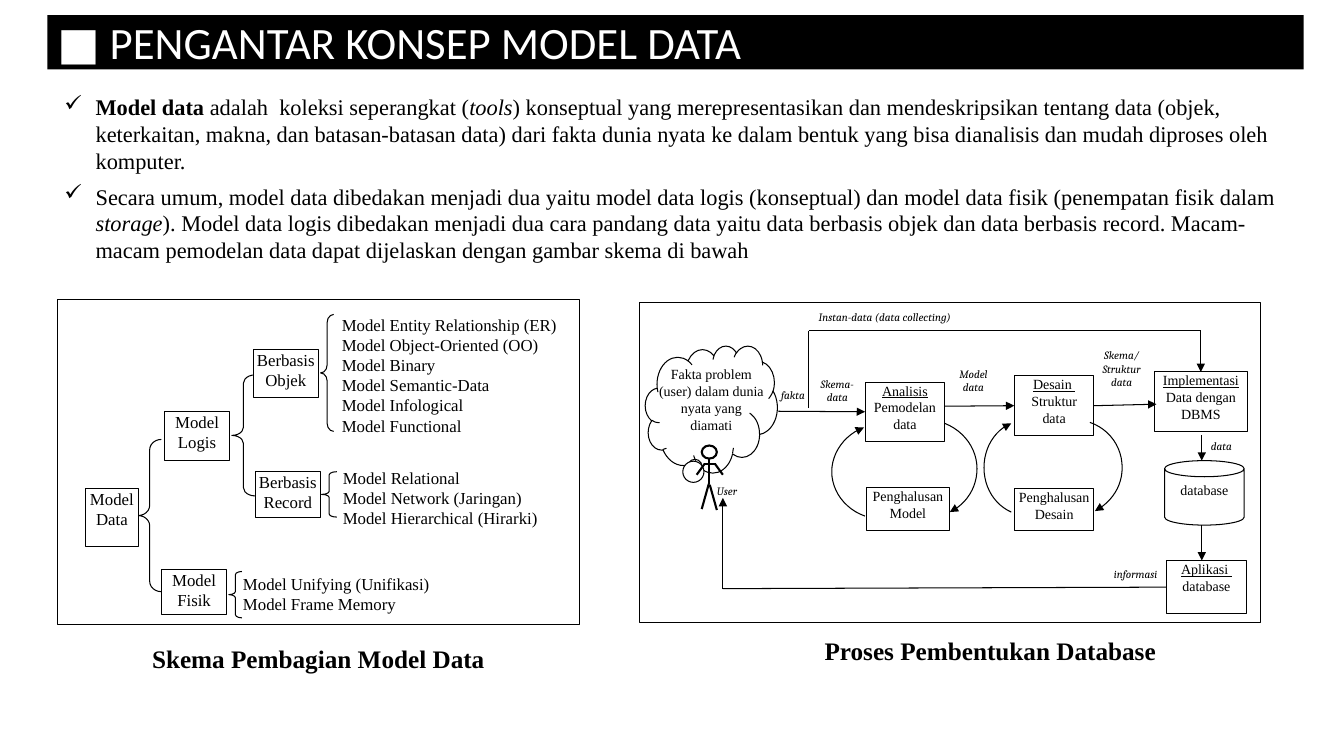
from lxml.etree import SubElement
from pptx import Presentation
from pptx.dml.color import RGBColor
from pptx.enum.shapes import MSO_CONNECTOR, MSO_SHAPE
from pptx.enum.text import MSO_ANCHOR, PP_ALIGN
from pptx.oxml.ns import qn
from pptx.util import Inches, Pt

BLACK, WHITE = "000000", "FFFFFF"
SERIF, LABEL_FONT = "Times New Roman", "Cambria"
LEFT, CENTER, RIGHT = PP_ALIGN.LEFT, PP_ALIGN.CENTER, PP_ALIGN.RIGHT


def outline(shape, width=0.75, arrow=False):
    """Black line without shadow, with an optional arrowhead at the end."""
    shape.line.color.rgb = RGBColor.from_string(BLACK)
    shape.line.width = Pt(width)
    properties = shape.element.spPr
    if arrow:
        SubElement(properties.find(qn("a:ln")), qn("a:tailEnd"), type="triangle")
    SubElement(properties, qn("a:effectLst"))


def write(shape, lines, size, align=CENTER, font=SERIF, color=BLACK, margin=0.0):
    """One paragraph per line, from the top of the shape."""
    frame = shape.text_frame
    frame.word_wrap = True
    frame.vertical_anchor = MSO_ANCHOR.TOP
    frame.margin_left = frame.margin_right = Inches(margin)
    frame.margin_top = frame.margin_bottom = Inches(margin / 2)
    frame.text = "\n".join(lines)
    for paragraph in frame.paragraphs:
        paragraph.alignment = align
        paragraph.font.size = Pt(size)
        paragraph.font.name = font
        paragraph.font.color.rgb = RGBColor.from_string(color)
    return frame


presentation = Presentation()
presentation.slide_width, presentation.slide_height = Inches(13.33), Inches(7.5)
slide = presentation.slides.add_slide(presentation.slide_layouts[6])
shapes = slide.shapes

# Title bar
title = shapes.add_shape(MSO_SHAPE.RECTANGLE, Inches(0.47), Inches(0.15), Inches(12.46), Inches(0.54))
title.shadow.inherit = False
title.fill.solid()
title.fill.fore_color.rgb = RGBColor.from_string(BLACK)
title.line.fill.background()
frame = write(title, ["■ PENGANTAR KONSEP MODEL DATA"], 32, LEFT, "Calibri", WHITE, 0.1)
frame.vertical_anchor = MSO_ANCHOR.BOTTOM
frame.margin_bottom = 0
frame.paragraphs[0].line_spacing = 0.9

# Explanation with check marks: runs of (text, style)
explanation = [
    [("Model data ", "bold"), ("adalah  koleksi seperangkat (", ""), ("tools", "italic"),
     (") konseptual yang merepresentasikan dan mendeskripsikan tentang data (objek, "
      "keterkaitan, makna, dan batasan-batasan data) dari fakta dunia nyata ke dalam bentuk "
      "yang bisa dianalisis dan mudah diproses oleh komputer.", "")],
    [("Secara umum, model data dibedakan menjadi dua yaitu model data logis (konseptual) dan "
      "model data fisik (penempatan fisik dalam ", ""), ("storage", "italic"),
     ("). Model data logis dibedakan menjadi dua cara pandang data yaitu data berbasis objek "
      "dan data berbasis record. Macam-macam pemodelan data dapat dijelaskan dengan gambar "
      "skema di bawah", "")],
]
body = shapes.add_textbox(Inches(0.54), Inches(0.88), Inches(12.28), Inches(1.8))
frame = write(body, ["", ""], 16, LEFT, margin=0.1)
for paragraph, runs in zip(frame.paragraphs, explanation):
    paragraph.space_after = Pt(6)
    for text, style in runs:
        run = paragraph.add_run()
        run.text = text
        run.font.bold = style == "bold"
        run.font.italic = style == "italic"
    properties = paragraph._p.get_or_add_pPr()
    properties.set("marL", str(Inches(0.31)))
    properties.set("indent", str(-Inches(0.31)))
    bullet = SubElement(properties, qn("a:buChar"), char="✓")
    properties.find(qn("a:defRPr")).addprevious(bullet)

# Frames of the two diagrams
for left, top, width, height in [(0.57, 2.97, 5.18, 3.23), (6.34, 3, 6.16, 3.18)]:
    panel = shapes.add_shape(MSO_SHAPE.RECTANGLE, Inches(left), Inches(top), Inches(width), Inches(height))
    panel.fill.background()
    outline(panel)

# Braces of the model tree
for left, top, width, height, curve in [
    (1.37, 4.36, 0.23, 1.51, 0.445), (2.3, 3.72, 0.23, 1.2, 0.352),
    (3.18, 3.12, 0.13, 1.16, 0.613), (3.19, 4.68, 0.15, 0.45, 0.202),
    (2.27, 5.67, 0.13, 0.46, 0.242),
]:
    brace = shapes.add_shape(MSO_SHAPE.LEFT_BRACE, Inches(left), Inches(top), Inches(width), Inches(height))
    brace.adjustments[0] = curve
    brace.fill.background()
    outline(brace)

# Cloud with the problem and the database cylinder
cloud = shapes.add_shape(MSO_SHAPE.CLOUD_CALLOUT, Inches(6.4), Inches(3.43), Inches(1.31), Inches(1.26))
cloud.adjustments[0], cloud.adjustments[1] = -0.127, 0.461
database = shapes.add_shape(MSO_SHAPE.CAN, Inches(11.55), Inches(4.57), Inches(0.79), Inches(0.64))
write(database, ["database"], 10, margin=0.1)
head = shapes.add_shape(MSO_SHAPE.OVAL, Inches(6.96), Inches(4.42), Inches(0.15), Inches(0.13))
for shape, width in [(cloud, 0.75), (database, 0.75), (head, 1.5)]:
    shape.fill.solid()
    shape.fill.fore_color.rgb = RGBColor.from_string(WHITE)
    outline(shape, width)

# Boxes of both diagrams
boxes = {}
for left, top, width, height, size, underlined, lines in [
    (0.85, 4.85, 0.52, 0.57, 12, False, ["Model Data"]),
    (1.63, 4.08, 0.65, 0.49, 12, False, ["Model Logis"]),
    (1.6, 5.65, 0.65, 0.45, 12, False, ["Model", "Fisik"]),
    (2.51, 3.47, 0.65, 0.47, 12, False, ["Berbasis Objek"]),
    (2.53, 4.68, 0.65, 0.45, 12, False, ["Berbasis Record"]),
    (8.58, 3.79, 0.79, 0.59, 10, True, ["Analisis", "Pemodelan data"]),
    (10.06, 3.73, 0.79, 0.59, 10, True, ["Desain ", "Struktur", "data"]),
    (11.45, 3.69, 0.92, 0.59, 10, True, ["Implementasi", "Data dengan", "DBMS"]),
    (11.57, 5.56, 0.79, 0.53, 10, True, ["Aplikasi ", "database"]),
    (8.59, 4.84, 0.83, 0.42, 10, False, ["Penghalusan", "Model"]),
    (10.06, 4.85, 0.79, 0.41, 10, False, ["Penghalusan", "Desain"]),
]:
    box = shapes.add_shape(MSO_SHAPE.RECTANGLE, Inches(left), Inches(top), Inches(width), Inches(height))
    box.fill.solid()
    box.fill.fore_color.rgb = RGBColor.from_string(WHITE)
    outline(box)
    frame = write(box, lines, size)
    frame.paragraphs[0].font.underline = underlined
    boxes[lines[0].strip()] = box

# Lists of models beside the braces
for left, top, height, lines in [
    (3.31, 3.12, 1.29, ["Model Entity Relationship (ER)", "Model Object-Oriented (OO)", "Model Binary",
                        "Model Semantic-Data", "Model Infological", "Model Functional"]),
    (3.32, 4.64, 0.69, ["Model Relational", "Model Network (Jaringan)", "Model Hierarchical (Hirarki)"]),
    (2.33, 5.69, 0.46, ["Model Unifying (Unifikasi)", "Model Frame Memory"]),
]:
    models = shapes.add_textbox(Inches(left), Inches(top), Inches(2.59), Inches(height))
    write(models, lines, 12, LEFT).margin_left = Inches(0.08)

# Straight lines: start, end, arrow, box and side joined at the start and at the end
for x1, y1, x2, y2, arrow, source, target in [
    (7.72, 4.08, 8.58, 4.08, True, None, ("Analisis", 1)),
    (9.37, 4.03, 10.06, 4.03, True, None, ("Desain", 1)),
    (10.85, 4.02, 11.47, 4.01, True, ("Desain", 3), None),
    (11.91, 3.28, 11.91, 3.69, True, None, ("Implementasi", 0)),
    (8.02, 3.28, 11.91, 3.28, False, None, None),
    (8.02, 4.05, 8.02, 3.28, False, None, None),
    (11.92, 4.32, 11.92, 4.57, True, None, None),
    (11.92, 5.21, 11.92, 5.56, True, None, None),
    (7.17, 5.84, 11.57, 5.84, False, None, ("Aplikasi", 1)),
    (7.17, 5.84, 7.17, 4.94, True, None, None),
]:
    line = shapes.add_connector(MSO_CONNECTOR.STRAIGHT, Inches(x1), Inches(y1), Inches(x2), Inches(y2))
    if source:
        line.begin_connect(boxes[source[0]], source[1])
    if target:
        line.end_connect(boxes[target[0]], target[1])
    outline(line, arrow=arrow)

# Body, legs and arms of the user
for x1, y1, x2, y2 in [
    (7.03, 4.55, 7.03, 4.8), (7.03, 4.8, 6.96, 5.05), (7.04, 4.81, 7.11, 5.06),
    (7.09, 4.6, 7.17, 4.71), (6.91, 4.71, 6.99, 4.6), (6.98, 4.6, 7.1, 4.6),
]:
    limb = shapes.add_connector(MSO_CONNECTOR.STRAIGHT, Inches(x1), Inches(y1), Inches(x2), Inches(y2))
    outline(limb, 1.5)

# Curved refinement arrows: two joined cubic curves each
STEPS = 12
for controls in [
    [(9.37, 4.2), (9.57, 4.28), (9.69, 4.46), (9.69, 4.65), (9.69, 4.83), (9.59, 5), (9.42, 5.08)],
    [(8.58, 5.12), (8.38, 5.05), (8.25, 4.87), (8.25, 4.68), (8.25, 4.49), (8.38, 4.31), (8.57, 4.24)],
    [(10.81, 4.19), (11.01, 4.26), (11.13, 4.44), (11.13, 4.64), (11.13, 4.82), (11.03, 4.98), (10.86, 5.07)],
    [(10.03, 5.08), (9.87, 5.01), (9.76, 4.84), (9.76, 4.64), (9.76, 4.45), (9.86, 4.27), (10.03, 4.2)],
]:
    points = []
    for first in (0, 3):
        for step in range(1, STEPS + 1):
            t = step / STEPS
            weights = [(1 - t) ** 3, 3 * t * (1 - t) ** 2, 3 * t ** 2 * (1 - t), t ** 3]
            curve = controls[first:first + 4]
            points.append(tuple(Inches(sum(w * point[axis] for w, point in zip(weights, curve)))
                                for axis in (0, 1)))
    builder = shapes.build_freeform(Inches(controls[0][0]), Inches(controls[0][1]))
    builder.add_line_segments(points, close=False)
    arc = builder.convert_to_shape()
    arc.fill.background()
    outline(arc, arrow=True)

# Problem text in the cloud
problem = shapes.add_textbox(Inches(6.53), Inches(3.63), Inches(1.05), Inches(0.74))
write(problem, ["Fakta problem (user) dalam dunia nyata yang diamati"], 10)

# Labels of the flows
for left, top, width, height, align, lines in [
    (7.5, 3.85, 0.73, 0.18, CENTER, ["fakta"]),
    (7.94, 3.74, 0.73, 0.3, CENTER, ["Skema-", "data"]),
    (9.29, 3.64, 0.73, 0.32, CENTER, ["Model", "data"]),
    (10.76, 3.46, 0.73, 0.5, CENTER, ["Skema/", "Struktur", "data"]),
    (8.12, 3.08, 1.51, 0.19, LEFT, ["Instan-data (data collecting)"]),
    (12.01, 4.36, 0.35, 0.19, LEFT, ["data"]),
    (10.73, 5.63, 0.75, 0.19, RIGHT, ["informasi"]),
    (7.11, 4.8, 0.75, 0.19, LEFT, ["User"]),
]:
    label = shapes.add_textbox(Inches(left), Inches(top), Inches(width), Inches(height))
    for paragraph in write(label, lines, 8, align, LABEL_FONT).paragraphs:
        paragraph.font.italic = True

# Captions
for left, top, text in [(8.08, 6.25, "Proses Pembentukan Database"), (1.41, 6.33, "Skema Pembagian Model Data")]:
    caption = shapes.add_textbox(Inches(left), Inches(top), Inches(3.53), Inches(0.4))
    frame = write(caption, [text], 18, LEFT, margin=0.1)
    frame.word_wrap = False
    frame.paragraphs[0].font.bold = True

presentation.save("out.pptx")
